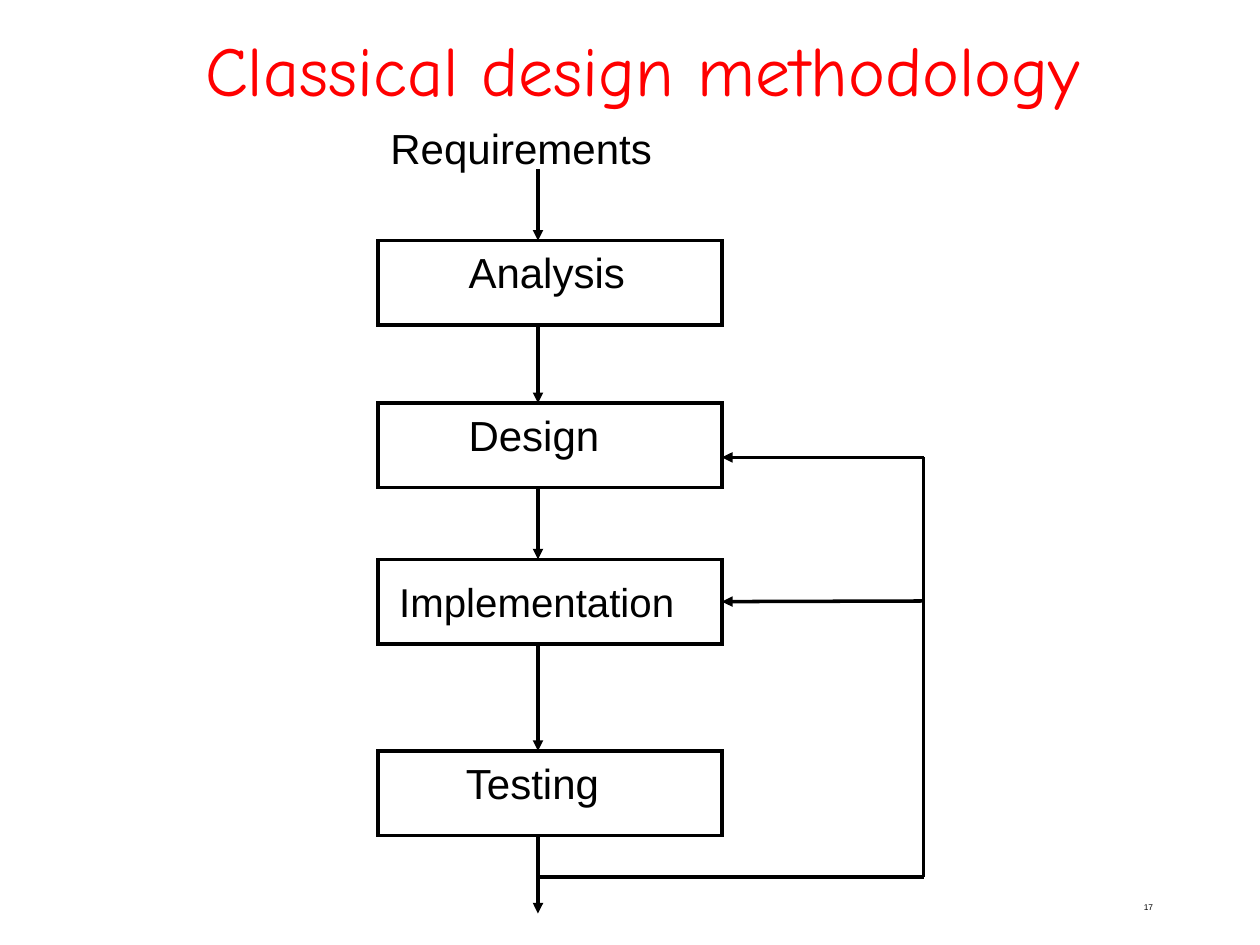
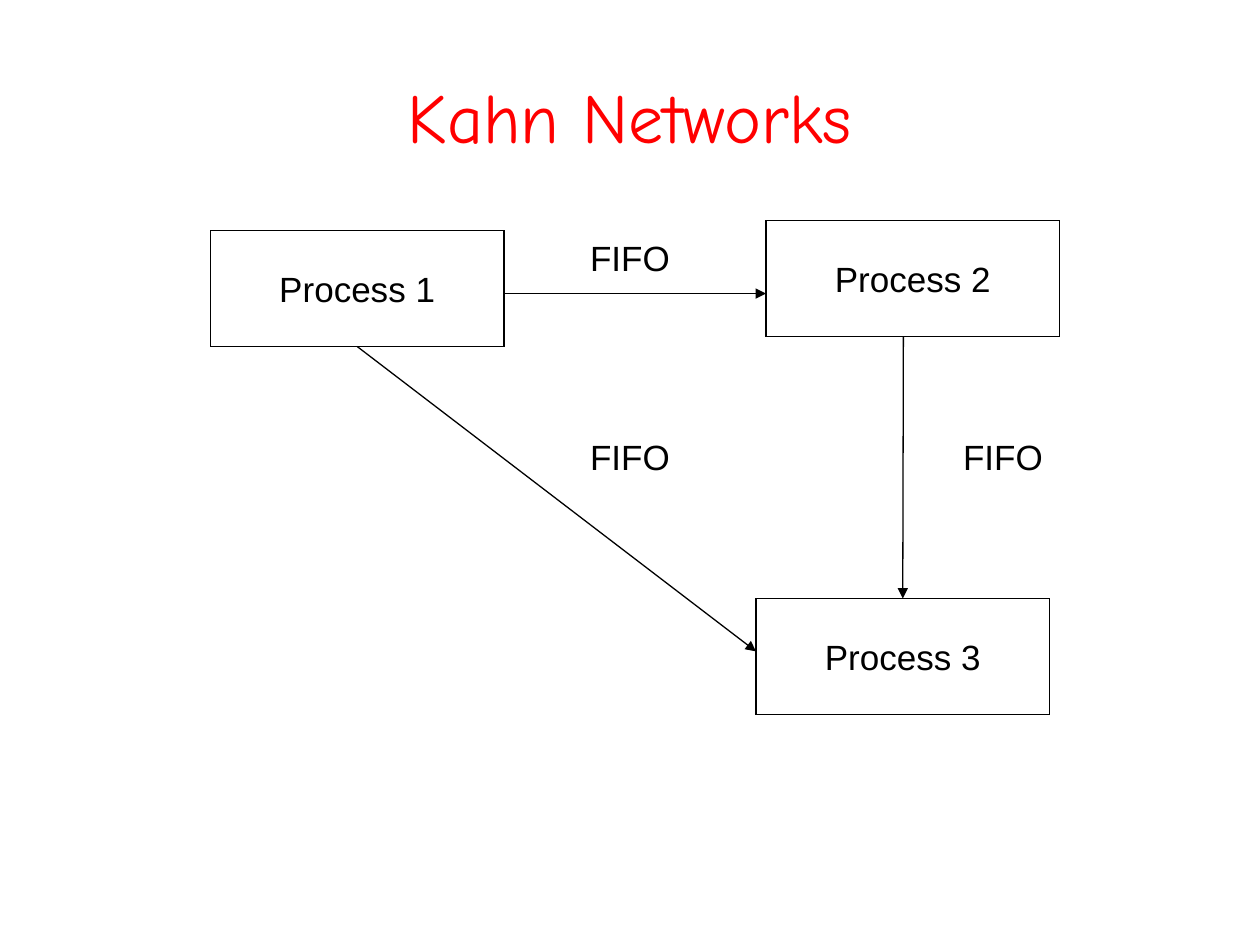
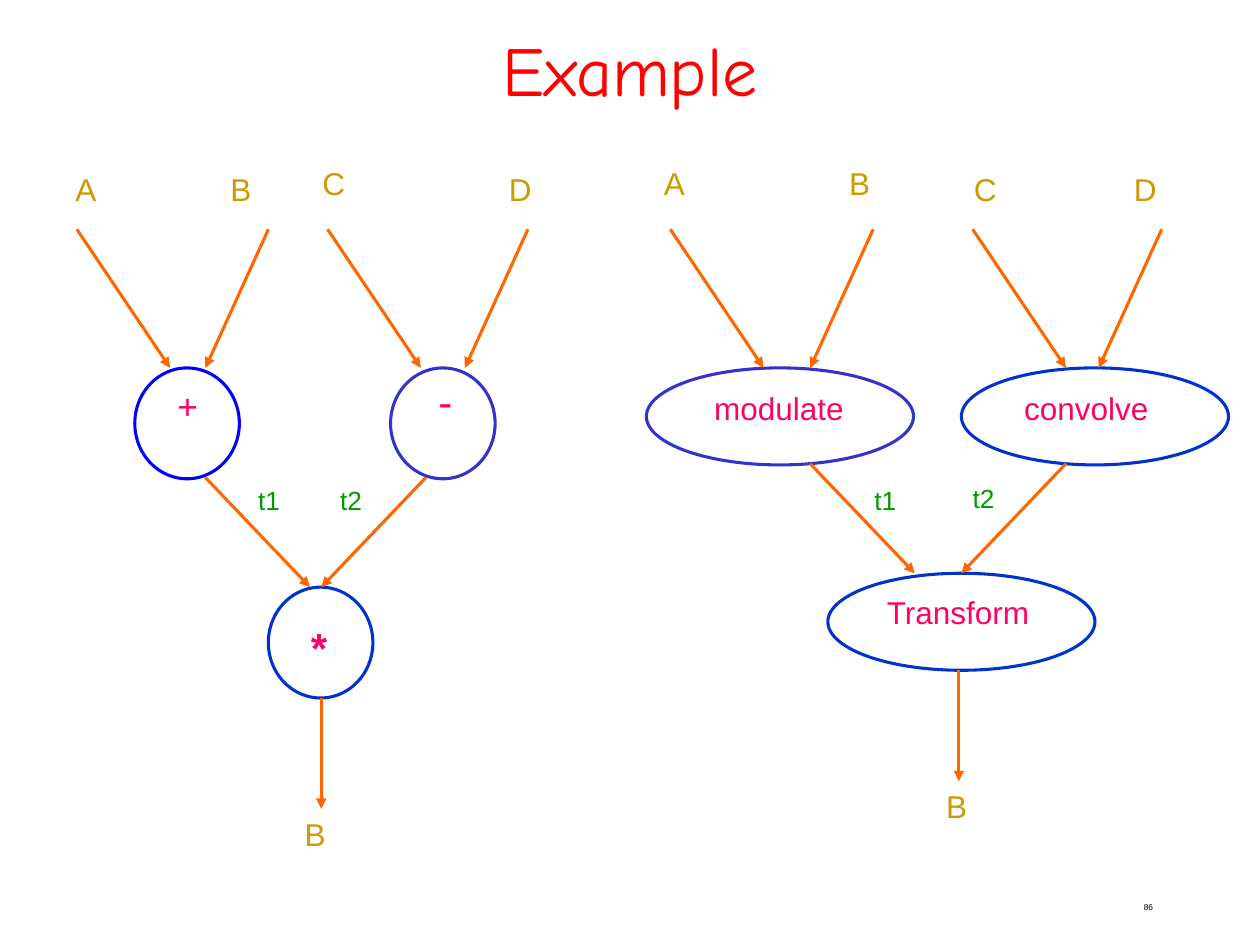
from dataclasses import dataclass
from typing import Optional

from pptx import Presentation
from pptx import util as u
from pptx.dml.color import RGBColor
from pptx.enum import shapes, text
from pptx.oxml import parse_xml
from pptx.oxml.ns import nsdecls, qn

PX = u.Inches(1) // 100  # one px is a hundredth of an inch


@dataclass(frozen=True)
class Theme:
    title_font: str = "Comic Neue"
    body_font: str = "Arial"
    title: str = "FF0000"
    ink: str = "000000"
    paper: str = "FFFFFF"
    operation: str = "FF0066"
    operand: str = "CC9900"
    temporary: str = "009900"
    flow: str = "FF6600"
    blue: str = "0000FF"
    navy: str = "0033CC"
    indigo: str = "3333CC"
    title_pt: float = 40
    stage_pt: float = 24
    process_pt: float = 20
    node_pt: float = 18
    temporary_pt: float = 15
    page_pt: float = 4.8
    thick: float = 2
    medium: float = 1.75
    thin: float = 0.75


T = Theme()


@dataclass(frozen=True)
class Label:
    text: str
    x: int
    y: int
    w: int
    size: float = T.node_pt
    color: str = T.operand
    bold: bool = False


@dataclass(frozen=True)
class Node:
    x: int
    y: int
    w: int
    h: int
    line: str = T.ink
    weight: float = T.thick
    text: str = ""
    kind: shapes.MSO_SHAPE = shapes.MSO_SHAPE.RECTANGLE


@dataclass(frozen=True)
class Arrow:
    x1: int
    y1: int
    x2: int
    y2: int
    color: str = T.ink
    weight: float = T.thick
    head: bool = True


# Shared drawing functions
def add_run(p, content: str, size: float, color: str,
            font: str = T.body_font, bold: bool = False) -> None:
    r = p.add_run()
    r.text = content
    r.font.name, r.font.size, r.font.bold = font, u.Pt(size), bold
    r.font.color.rgb = RGBColor.from_string(color)


def set_line(sp, color: str, weight: float):
    """Give a shape or connector a solid line with square corners."""
    sp.line.color.rgb = RGBColor.from_string(color)
    sp.line.width = u.Pt(weight)
    ln = sp.element.spPr.find(qn("a:ln"))
    ln.append(parse_xml(f'<a:miter {nsdecls("a")} lim="800000"/>'))
    return ln


def new_slide(prs, title: str, y: int, h: int, indent: int = 10):
    s = prs.slides.add_slide(prs.slide_layouts[5])
    sp = s.shapes.title
    sp.left, sp.top, sp.width, sp.height = 75 * PX, y * PX, 850 * PX, h * PX
    tf = sp.text_frame
    tf.auto_size, tf.word_wrap = text.MSO_AUTO_SIZE.NONE, True
    tf.vertical_anchor = text.MSO_ANCHOR.MIDDLE
    tf.margin_left = indent * PX
    p = tf.paragraphs[0]
    p.alignment = text.PP_ALIGN.CENTER
    add_run(p, title, T.title_pt, T.title, T.title_font)
    return s


def add_page_number(s, number: int) -> None:
    tf = s.shapes.add_textbox(717 * PX, 713 * PX, 208 * PX, 20 * PX).text_frame
    tf.word_wrap = True
    p = tf.paragraphs[0]
    p.alignment, p.line_spacing = text.PP_ALIGN.RIGHT, 0.8
    add_run(p, str(number), T.page_pt, T.ink)


def add_label(s, label: Label) -> None:
    height = round(label.size * 5 / 3) + 10
    tf = s.shapes.add_textbox(label.x * PX, label.y * PX,
                              label.w * PX, height * PX).text_frame
    tf.word_wrap = True
    tf.auto_size = text.MSO_AUTO_SIZE.SHAPE_TO_FIT_TEXT
    add_run(tf.paragraphs[0], label.text, label.size, label.color, bold=label.bold)


def add_node(s, node: Node):
    sp = s.shapes.add_shape(node.kind, node.x * PX, node.y * PX,
                            node.w * PX, node.h * PX)
    sp.shadow.inherit = False
    sp.fill.background()
    set_line(sp, node.line, node.weight)
    if node.text:
        tf = sp.text_frame
        tf.word_wrap = False
        tf.vertical_anchor = text.MSO_ANCHOR.MIDDLE
        p = tf.paragraphs[0]
        p.alignment = text.PP_ALIGN.CENTER
        add_run(p, node.text, T.process_pt, T.ink)
    return sp


def add_arrow(s, arrow: Arrow, begin: Optional[tuple] = None,
              end: Optional[tuple] = None) -> None:
    cn = s.shapes.add_connector(shapes.MSO_CONNECTOR.STRAIGHT, arrow.x1 * PX,
                                arrow.y1 * PX, arrow.x2 * PX, arrow.y2 * PX)
    ln = set_line(cn, arrow.color, arrow.weight)
    if arrow.head:
        ln.append(parse_xml(f'<a:tailEnd {nsdecls("a")} type="triangle"/>'))
    cn.element.spPr.append(parse_xml(f'<a:effectLst {nsdecls("a")}/>'))
    if begin:
        cn.begin_connect(*begin)
    if end:
        cn.end_connect(*end)


# Slide 1: stages from top to bottom with feedback on the right
def methodology_slide(prs) -> None:
    s = new_slide(prs, "Classical design methodology", 17, 75, indent=30)
    add_page_number(s, 17)
    left, width, height, axis, bus = 300, 273, 67, 427, 733
    right = left + width
    tops = [191, 320, 444, 596]
    stages = [add_node(s, Node(left, top, width, height)) for top in tops]

    for name, x, y, w, size in (
        ("Requirements", left, 92, width, T.stage_pt),
        ("Analysis", 362, tops[0], 148, T.stage_pt),
        ("Design", 362, tops[1], 159, T.stage_pt),
        ("Implementation", 307, 453, 243, T.stage_pt - 1),
        ("Testing", 360, tops[3], 146, T.stage_pt),
    ):
        add_label(s, Label(name, x, y, w, size, T.ink))

    bottoms = [top + height for top in tops]
    for start, stop in zip([134] + bottoms, tops + [725]):
        add_arrow(s, Arrow(axis, start, axis, stop))

    # Feedback path
    add_arrow(s, Arrow(axis, 696, bus, 696, head=False))
    add_arrow(s, Arrow(bus, 696, bus, 363, head=False))
    add_arrow(s, Arrow(bus, 363, right, 363))
    add_arrow(s, Arrow(bus, 477, right, 477), end=(stages[2], 3))


# Slide 2: three processes joined by queues
def kahn_slide(prs) -> None:
    s = new_slide(prs, "Kahn Networks", 42, 100)
    first, _, third = [
        add_node(s, Node(x, y, 233, 92, weight=T.thin, text=f"Process {i}"))
        for i, (x, y) in enumerate(((167, 183), (608, 175), (600, 475)), 1)]
    add_arrow(s, Arrow(400, 233, 608, 233, weight=T.thin))
    add_arrow(s, Arrow(717, 267, 717, 475, weight=T.thin), end=(third, 0))
    add_arrow(s, Arrow(283, 275, 600, 517, weight=T.thin), begin=(first, 2))
    for x, y in ((429, 192), (725, 350), (429, 350)):
        add_node(s, Node(x, y, 142, 25, T.paper, T.thin, "FIFO"))


# Slide 3: two dataflow graphs side by side
def example_slide(prs) -> None:
    s = new_slide(prs, "Example", 25, 58)
    add_page_number(s, 86)
    for w, h, places in (
        (83, 88, ((107, 292, T.blue), (213, 466, T.navy), (310, 292, T.indigo))),
        (212, 77, ((513, 292, T.indigo), (657, 455, T.navy), (763, 292, T.navy))),
    ):
        for x, y, color in places:
            add_node(s, Node(x, y, w, h, color, T.medium,
                             kind=shapes.MSO_SHAPE.OVAL))

    # Arrows: operands in, temporaries across, results out
    flows = []
    for x1, x2 in ((61, 213), (260, 419), (532, 693), (772, 922)):
        flows += [(x1, 182, 74, 110), (x2, 182, -50, 110)]
    for x1, x2, y in ((163, 338, 379), (643, 846, 368)):
        flows += [(x1, y, 83, 87), (x2, y, -83, 87)]
    flows += [(255, 554, 0, 88), (761, 532, 0, 88)]
    for x, y, dx, dy in flows:
        add_arrow(s, Arrow(x, y, x + dx, y + dy, T.flow, T.medium))

    # Operations
    for label in (
        Label("+", 131, 300, 40, T.process_pt, T.operation),
        Label("-", 338, 293, 35, T.stage_pt, T.operation),
        Label("*", 237, 488, 37, T.stage_pt, T.operation, bold=True),
        Label("modulate", 557, 304, 127, color=T.operation),
        Label("convolve", 803, 304, 122, color=T.operation),
        Label("Transform", 694, 466, 138, color=T.operation),
    ):
        add_label(s, label)

    # Operands and results
    for name, x, y in (
        ("A", 50, 130), ("B", 173, 130), ("C", 246, 125), ("D", 394, 130),
        ("A", 517, 125), ("B", 664, 125), ("C", 763, 130), ("D", 890, 130),
        ("B", 232, 642), ("B", 741, 620),
    ):
        add_label(s, Label(name, x, y, 41))

    # Temporaries
    for name, x, y in (("t1", 195, 379), ("t2", 260, 379),
                       ("t1", 684, 379), ("t2", 762, 378)):
        add_label(s, Label(name, x, y, 42, T.temporary_pt, T.temporary))


def main() -> None:
    prs = Presentation()
    prs.slide_width, prs.slide_height = 1000 * PX, 750 * PX
    methodology_slide(prs)
    kahn_slide(prs)
    example_slide(prs)
    prs.save("out.pptx")


if __name__ == "__main__":
    main()
